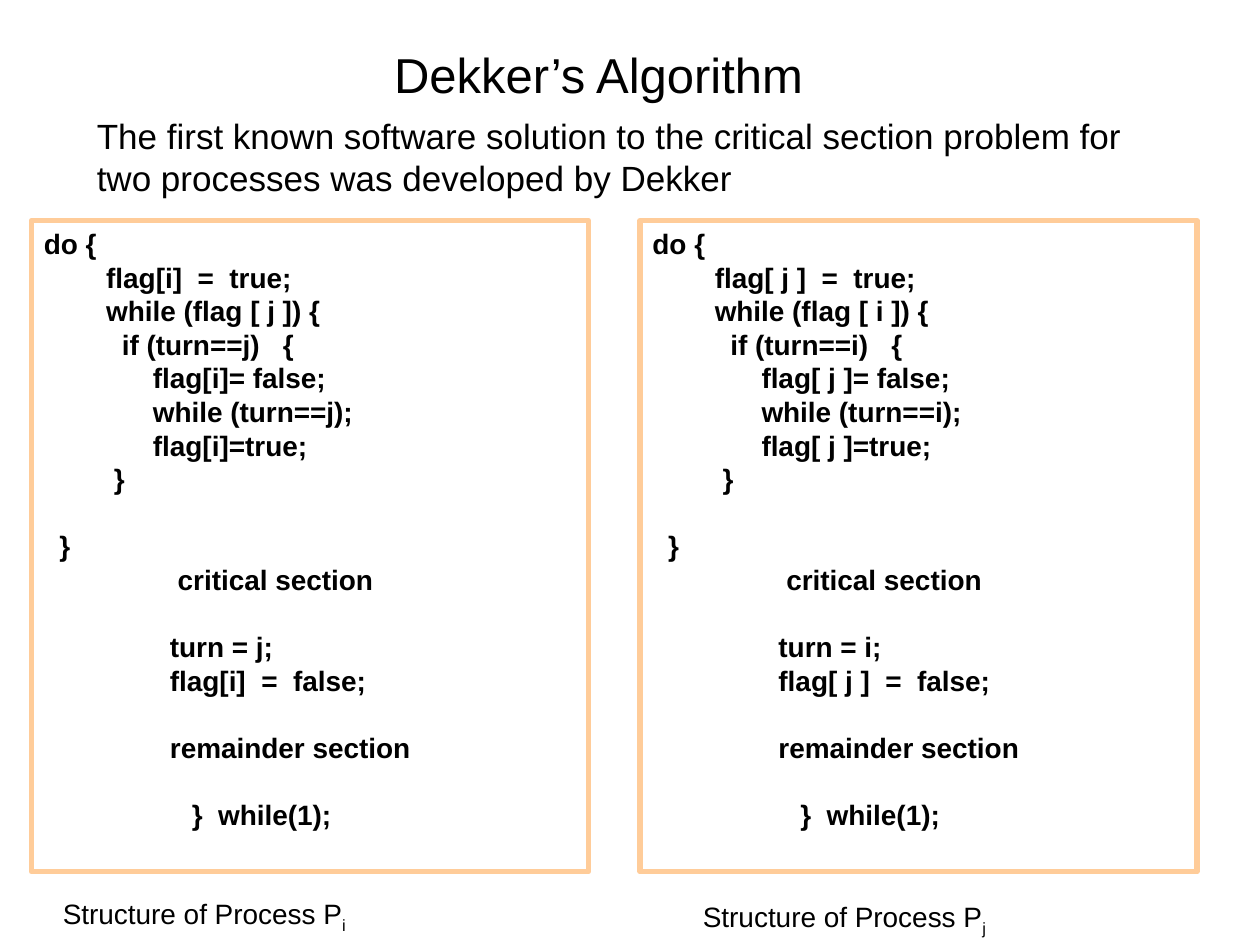
from pptx import Presentation
from pptx.dml.color import RGBColor
from pptx.enum.shapes import MSO_SHAPE as Shape
from pptx.enum.text import MSO_ANCHOR as Anchor, PP_ALIGN as Align
from pptx.util import Inches, Pt

LEADING = 1.2
SPACE = 0.0618  # width of one space in 16 pt Arial, in inches
CODE_SIZE = 16


def color(value):
    """Turn a hex string into a colour."""
    return RGBColor.from_string(value)


def add_line(box, text, size, subscript="", bold=False, indent=0, gap=0,
             align=Align.LEFT):
    """Write one paragraph into a box, after any text already there."""
    frame = box.text_frame
    frame.word_wrap = True
    para = frame.add_paragraph() if frame.text else frame.paragraphs[0]
    spacing = {"alignment": align, "line_spacing": Pt(size * LEADING),
               "space_before": Pt(gap)}
    for name, value in spacing.items():
        setattr(para, name, value)
    para._p.get_or_add_pPr().set("marL", str(Inches(indent)))
    for part in filter(None, (text, subscript)):
        span = para.add_run()
        span.text = part
        for name, value in {"name": "Arial", "size": Pt(size), "bold": bold}.items():
            setattr(span.font, name, value)
        span.font.color.rgb = color("000000")
    if subscript:
        span.font._element.set("baseline", "-25000")


deck = Presentation()
deck.slide_width, deck.slide_height = Inches(10), Inches(7.5)
page = deck.slides.add_slide(deck.slide_layouts[6])

headings = [
    ("Dekker’s Algorithm", 28, Align.CENTER, (0.5, 0.25, 8.5, 0.67)),
    ("The first known software solution to the critical section problem for "
     "two processes was developed by Dekker", 20, Align.LEFT,
     (0.67, 0.83, 8.5, 0.83)),
]
for text, size, align, place in headings:
    box = page.shapes.add_textbox(*map(Inches, place))
    box.text_frame.vertical_anchor = Anchor.MIDDLE
    add_line(box, text, size, align=align)

# Indent in inches, empty lines before, code
code = [
    (0, 0, "do {"),
    (8 * SPACE, 0, "flag[{me}]  =  true;"),
    (8 * SPACE, 0, "while (flag [ {other} ]) {{"),
    (10 * SPACE, 0, "if (turn=={other})   {{"),
    (14 * SPACE, 0, "flag[{me}]= false;"),
    (14 * SPACE, 0, "while (turn=={other});"),
    (14 * SPACE, 0, "flag[{me}]=true;"),
    (9 * SPACE, 0, "}}"),
    (2 * SPACE, 1, "}}"),
    (1 + SPACE, 0, "critical section"),
    (1, 1, "turn = {other};"),
    (1, 0, "flag[{me}]  =  false;"),
    (1, 1, "remainder section"),
    (19 * SPACE, 1, "}}  while(1);"),
]
code[0] = (0, 0, "do {{")

# Process, its index in code, the other process, box left, caption place
processes = [
    ("i", "i", "j", 0.25, (0.4, 7.1)),
    ("j", " j ", "i", 5.08, (5.48, 7.13)),
]
for process, me, other, left, caption_place in processes:
    panel = page.shapes.add_shape(Shape.RECTANGLE, Inches(left), Inches(1.75),
                                  Inches(4.42), Inches(5.17))
    panel.shadow.inherit = False
    panel.fill.background()
    panel.line.color.rgb = color("FFCC99")
    panel.line.width = Pt(3)
    panel.text_frame.vertical_anchor = Anchor.TOP
    for indent, empty_lines, text in code:
        add_line(panel, text.format(me=me, other=other), CODE_SIZE, bold=True,
                 indent=indent, gap=empty_lines * CODE_SIZE * LEADING)

    caption = page.shapes.add_textbox(*map(Inches, caption_place),
                                      Inches(4.52), Inches(0.41))
    add_line(caption, "Structure of Process P", CODE_SIZE, subscript=process)

deck.save("out.pptx")
